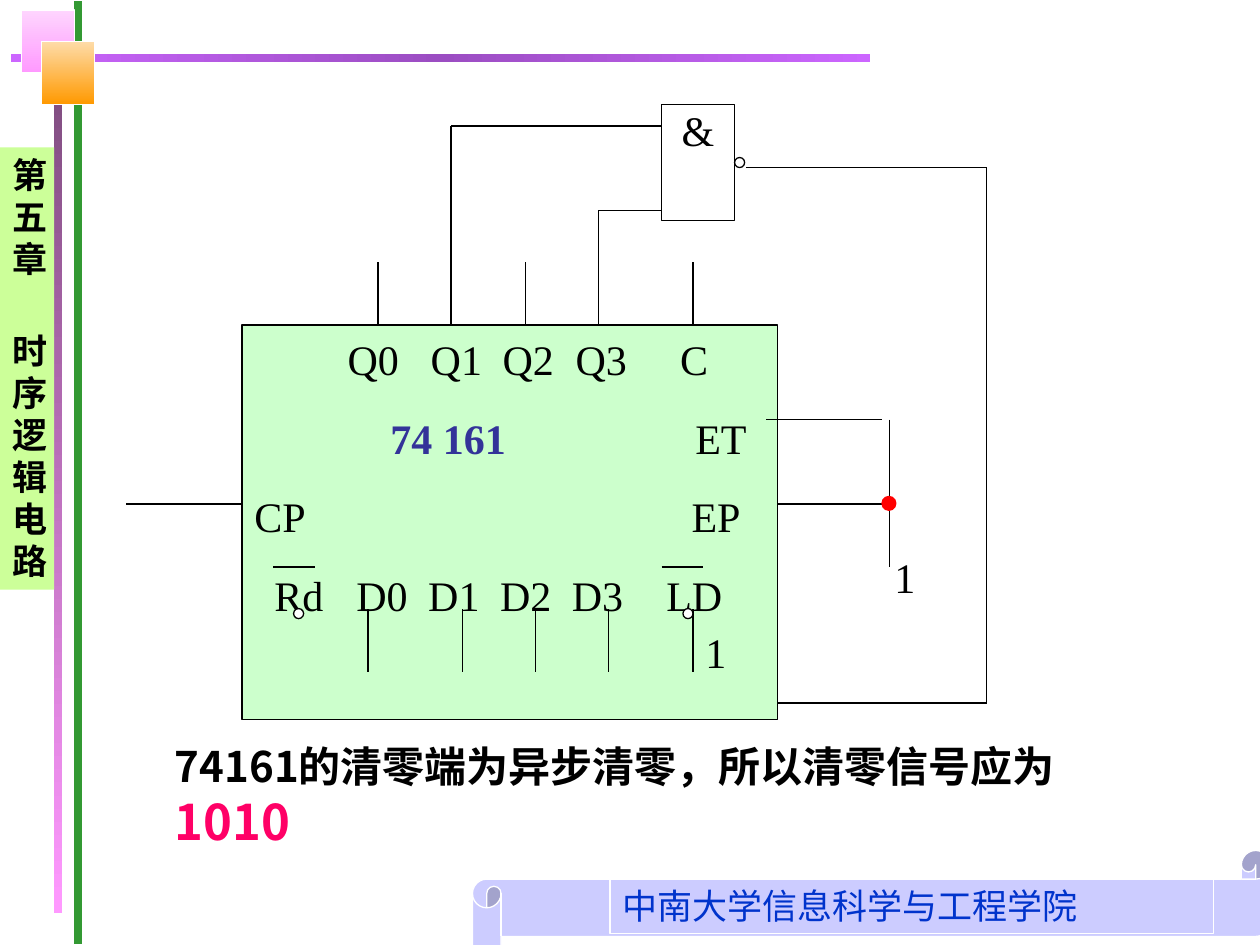
from dataclasses import dataclass
from typing import Optional

import lxml.etree
import pptx
import pptx.dml.color
import pptx.enum.shapes
import pptx.enum.text
import pptx.oxml.ns
import pptx.util

Inches = pptx.util.Inches
Pt = pptx.util.Pt
Kind = pptx.enum.shapes.MSO_SHAPE
Align = pptx.enum.text.PP_ALIGN
qn = pptx.oxml.ns.qn

SERIF = "Times New Roman"
SANS = "Noto Sans CJK SC"
COLORS = {
    "black": "000000", "white": "FFFFFF", "green": "339933", "lilac": "CCCCFF",
    "violet": "CC66FF", "purple": "9B4DC2", "plum": "754675", "pink": "FF99FF",
    "blush": "FED5FE", "peach": "FEDCA9", "orange": "FF9900", "lime": "CCFF99",
    "mint": "CCFFCC", "navy": "333399", "blue": "0033CC", "rose": "FF0066",
    "red": "FF0000",
}


@dataclass
class Box:
    left: float
    top: float
    width: float
    height: float
    fill: tuple = ()
    line: Optional[str] = "white"
    kind: int = Kind.RECTANGLE
    angle: int = 270


@dataclass
class Style:
    size: float = 24
    font: str = SERIF
    color: str = "black"
    bold: bool = False


@dataclass
class Row:
    runs: list
    stops: tuple = ()
    before: float = 0


@dataclass
class Wire:
    x1: float
    y1: float
    x2: float
    y2: float


def get_rgb(name: str):
    return pptx.dml.color.RGBColor.from_string(COLORS[name])


def add_box(slide, box: Box):
    shape = slide.shapes.add_shape(
        box.kind, Inches(box.left), Inches(box.top), Inches(box.width), Inches(box.height))
    shape.shadow.inherit = False
    if not box.fill:
        shape.fill.background()
    elif len(box.fill) == 1:
        shape.fill.solid()
        shape.fill.fore_color.rgb = get_rgb(box.fill[0])
    else:
        shape.fill.gradient()
        shape.fill.gradient_angle = box.angle
        stops = shape._element.spPr.find(".//" + qn("a:gsLst"))
        for old in list(stops):
            stops.remove(old)
        for i, name in enumerate(box.fill):
            place = str(100000 * i // (len(box.fill) - 1))
            stop = lxml.etree.SubElement(stops, qn("a:gs"), pos=place)
            lxml.etree.SubElement(stop, qn("a:srgbClr"), val=COLORS[name])
    if box.line:
        shape.line.color.rgb = get_rgb(box.line)
        shape.line.width = Pt(0.75)
    else:
        shape.line.fill.background()
    return shape


def add_wire(slide, wire: Wire):
    line = slide.shapes.add_connector(
        pptx.enum.shapes.MSO_CONNECTOR.STRAIGHT,
        Inches(wire.x1), Inches(wire.y1), Inches(wire.x2), Inches(wire.y2))
    line.line.color.rgb = get_rgb("black")
    line.line.width = Pt(0.75)
    lxml.etree.SubElement(line._element.spPr, qn("a:effectLst"))


def add_dot(slide, x: float, y: float, size: float, fill: tuple, line: str = "black"):
    add_box(slide, Box(x, y, size, size, fill, line, Kind.OVAL))


def set_text(shape, rows: list, style: Style, align=Align.LEFT, inset=0.05, wrap=True):
    frame = shape.text_frame
    frame.word_wrap = wrap
    frame.vertical_anchor = pptx.enum.text.MSO_ANCHOR.TOP
    frame.margin_top = Inches(inset)
    for i, row in enumerate(rows):
        para = frame.add_paragraph() if i else frame.paragraphs[0]
        para.alignment = align
        if row.before:
            para.space_before = Pt(row.before)
        props = para._p.get_or_add_pPr()
        if row.stops:
            tabs = lxml.etree.SubElement(props, qn("a:tabLst"))
            for stop in row.stops:
                lxml.etree.SubElement(tabs, qn("a:tab"), pos=str(Inches(stop)), algn="l")
        para.font.size = Pt(style.size)
        para.font.name = style.font
        para.font.bold = style.bold
        para.font.color.rgb = get_rgb(style.color)
        lxml.etree.SubElement(props.find(qn("a:defRPr")), qn("a:ea"), typeface=SANS)
        for text, look in row.runs:
            run = para.add_run()
            run.text = text
            if look:
                run.font.size = Pt(look.size)
                run.font.bold = look.bold
                run.font.color.rgb = get_rgb(look.color)


def add_text(slide, box: Box, rows: list, style: Style):
    shape = slide.shapes.add_textbox(
        Inches(box.left), Inches(box.top), Inches(box.width), Inches(box.height))
    set_text(shape, rows, style)


def draw_frame(slide):
    add_box(slide, Box(0.58, 0, 0.08, 7.5, ("green",)))
    scroll = add_box(slide, Box(3.75, 6.75, 6.33, 0.91, ("lilac",), kind=Kind.HORIZONTAL_SCROLL))
    scroll.adjustments[0] = 0.25
    add_box(slide, Box(0.08, 0.42, 6.83, 0.08, ("violet", "purple", "violet"),
                       kind=Kind.FLOWCHART_PROCESS, angle=0))
    school = add_box(slide, Box(4.84, 6.97, 4.79, 0.44))
    set_text(school, [Row([("中南大学信息科学与工程学院", None)])], Style(20, color="blue"))
    add_box(slide, Box(0.42, 0.08, 0.08, 7.17, ("plum", "pink")))
    add_box(slide, Box(0.17, 0.08, 0.42, 0.5, ("blush", "pink")))
    add_box(slide, Box(0.33, 0.33, 0.42, 0.5, ("peach", "orange")))
    banner = add_box(slide, Box(0, 1.17, 0.43, 3.51, ("lime",), None))
    set_text(banner, [Row([("第五章", None)]), Row([("时序逻辑电路", None)], before=28.5)],
             Style(20, SANS, bold=True), Align.JUSTIFY)


def draw_gate(slide):
    gate = add_box(slide, Box(5.25, 0.83, 0.58, 0.92, line="black"))
    set_text(gate, [Row([("&", None)])], Style(), Align.CENTER, 0, False)
    add_dot(slide, 5.83, 1.25, 0.08, ())
    for x, y in ((3.58, 1), (4.75, 1.67)):
        add_wire(slide, Wire(x, 2.58, x, y))
        add_wire(slide, Wire(x, y, 5.25, y))
    for wire in (Wire(2.33, 5.58, 7.83, 5.58), Wire(7.83, 5.58, 7.83, 1.33),
                 Wire(5.92, 1.33, 7.83, 1.33)):
        add_wire(slide, wire)


def draw_chip(slide):
    chip = add_box(slide, Box(1.92, 2.58, 4.25, 3.13, ("mint",), "black"))
    name = Style(color="navy", bold=True)
    rows = [
        Row([("\tQ0\tQ1\tQ2\tQ3\tC", None)], (0.74, 1.4, 1.97, 2.55, 3.38)),
        Row([("\t", None), ("74 161", name), ("\tET", None)], (1.08, 3.5), 16),
        Row([("CP\tEP", None)], (3.47,), 16),
        Row([("\tRd\tD0\tD1\tD2\tD3\tLD", None)], (0.16, 0.81, 1.38, 1.95, 2.52, 3.27), 16),
    ]
    set_text(chip, rows, Style(), inset=0.07)
    for x in (3, 4.17, 5.5):
        add_wire(slide, Wire(x, 2.58, x, 2.08))
    for x in (2.92, 3.67, 4.25, 4.83, 5.5):
        add_wire(slide, Wire(x, 5.33, x, 4.83))
    for x, y in ((1, 4), (6.17, 4), (6.08, 3.33)):
        add_wire(slide, Wire(x, y, x + 0.92, y))
    for x in (2.17, 5.25):
        add_wire(slide, Wire(x, 4.5, x + 0.33, 4.5))
    for x in (2.33, 5.42):
        add_dot(slide, x, 4.83, 0.08, ("white",))
    add_wire(slide, Wire(7.06, 3.33, 7.06, 4.5))
    add_dot(slide, 7, 3.94, 0.11, ("red",), "red")
    for x, y in ((7, 4.33), (5.5, 4.92)):
        add_text(slide, Box(x, y, 0.6, 0.5), [Row([("1", None)])], Style())


def main():
    deck = pptx.Presentation()
    deck.slide_width = Inches(10)
    deck.slide_height = Inches(7.5)
    slide = deck.slides.add_slide(deck.slide_layouts[6])
    draw_frame(slide)
    draw_gate(slide)
    note = [("74161的清零端为异步清零，所以清零信号应为", None),
            ("1010", Style(28, color="rose", bold=True))]
    add_text(slide, Box(1.29, 5.83, 7.91, 0.97), [Row(note)], Style(24, SANS, bold=True))
    draw_chip(slide)
    deck.save("out.pptx")


if __name__ == "__main__":
    main()
